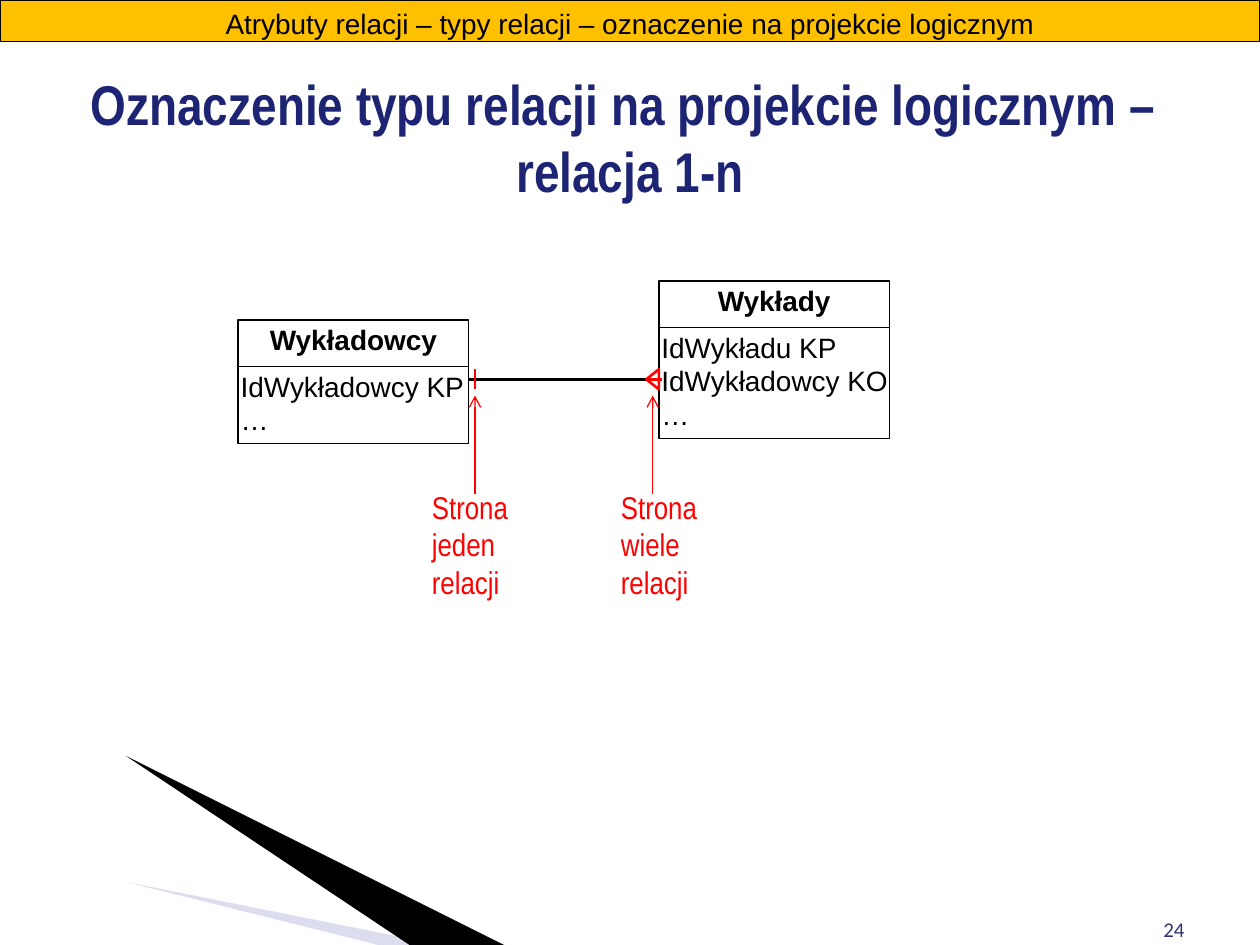
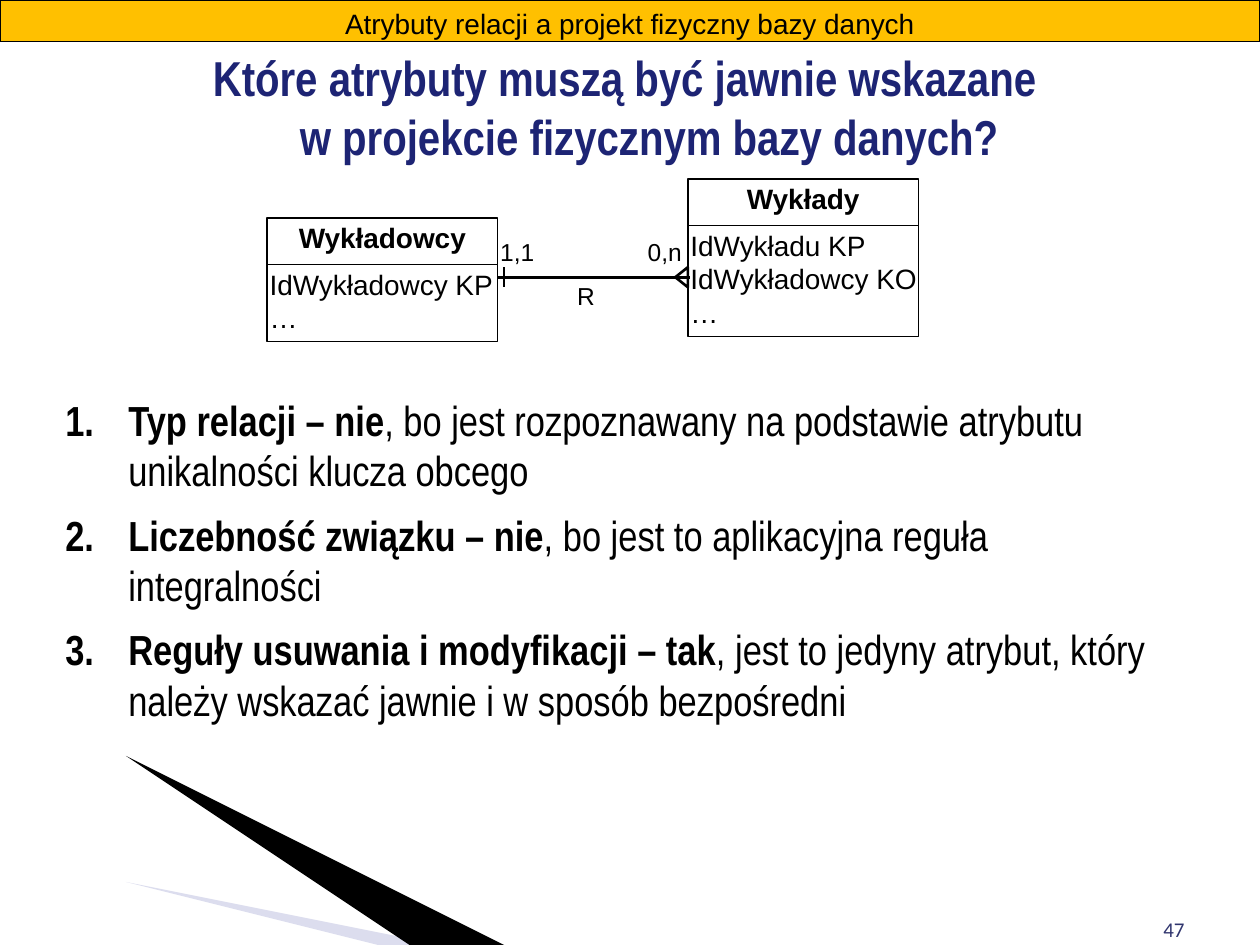
from dataclasses import dataclass

from lxml import etree
from pptx import Presentation
from pptx.dml.color import RGBColor
from pptx.enum import shapes, text
from pptx.oxml import ns
from pptx.util import Inches, Pt

BLACK = RGBColor(0, 0, 0)
WHITE = RGBColor(255, 255, 255)
RED = RGBColor(255, 0, 0)
NAVY = RGBColor(0x1D, 0x24, 0x74)
AMBER = RGBColor(0xFF, 0xC0, 0x00)
LAVENDER = RGBColor(0xA8, 0xAB, 0xD5)
PAGE_BLUE = RGBColor(0x30, 0x35, 0x6E)

ENTITY_WIDTH, HEADER_HEIGHT = 1.83, 0.37
LEFT, CENTER, RIGHT = text.PP_ALIGN.LEFT, text.PP_ALIGN.CENTER, text.PP_ALIGN.RIGHT


@dataclass(frozen=True)
class Style:
    size: float
    font: str = "Arial"
    color: RGBColor = BLACK
    bold: bool = False
    align: text.PP_ALIGN = LEFT


@dataclass(frozen=True)
class Box:
    left: float
    top: float
    width: float
    height: float

    def lengths(self) -> list:
        return [Inches(v) for v in (self.left, self.top, self.width, self.height)]


@dataclass(frozen=True)
class Entity:
    name: str
    attributes: tuple
    left: float
    top: float
    body_height: float


@dataclass(frozen=True)
class Caption:
    words: str
    box: Box


ATTRIBUTE = Style(16)
ENTITY_NAME = Style(16, bold=True, align=CENTER)
BAND = Style(16, align=CENTER)
PAGE_NUMBER = Style(12, "Calibri", PAGE_BLUE, align=RIGHT)
SIDE_LABEL = Style(18, "Arial Narrow", RED)
CARDINALITY = Style(14)
ANSWER = Style(24, "Arial Narrow")

# Positions inside the diagram, measured from its top left corner
ENTITIES = (
    Entity("Wykłady", ("IdWykładu KP", "IdWykładowcy KO", "…"), 3.34, 0, 0.88),
    Entity("Wykładowcy", ("IdWykładowcy KP", "…"), 0, 0.31, 0.61),
)
RELATION_Y, ONE_SIDE_X, MANY_SIDE_X = 0.78, 1.88, 3.24


def format_run(run, style: Style) -> None:
    run.font.size = Pt(style.size)
    run.font.name = style.font
    run.font.bold = style.bold
    run.font.color.rgb = style.color


def write(shape, words: str, style: Style, insets=(0.1, 0.05, 0.1, 0.05),
          anchor=text.MSO_ANCHOR.TOP):
    frame = shape.text_frame
    frame.word_wrap = True
    frame.vertical_anchor = anchor
    (frame.margin_left, frame.margin_top,
     frame.margin_right, frame.margin_bottom) = map(Inches, insets)
    frame.text = words
    for paragraph in frame.paragraphs:
        paragraph.alignment = style.align
        for run in paragraph.runs:
            format_run(run, style)
    return frame


def add_text(slide, box: Box, words: str, style: Style, **options):
    return write(slide.shapes.add_textbox(*box.lengths()), words, style, **options)


def add_rectangle(slide, box: Box, fill: RGBColor):
    rectangle = slide.shapes.add_shape(shapes.MSO_SHAPE.RECTANGLE, *box.lengths())
    rectangle.shadow.inherit = False
    rectangle.fill.solid()
    rectangle.fill.fore_color.rgb = fill
    rectangle.line.color.rgb = BLACK
    rectangle.line.width = Pt(0.75)
    return rectangle


def add_line(slide, start: tuple, end: tuple, color: RGBColor,
             width: float = 1.5, arrow: bool = False) -> None:
    line = slide.shapes.add_connector(
        shapes.MSO_CONNECTOR.STRAIGHT, *(Inches(v) for v in start + end))
    line.line.color.rgb = color
    line.line.width = Pt(width)
    if arrow:
        etree.SubElement(line.line._get_or_add_ln(), ns.qn("a:tailEnd"), type="arrow")
    etree.SubElement(line._element.spPr, ns.qn("a:effectLst"))


def set_indent(paragraph, inches: float):
    """Give a paragraph a hanging indent and return its properties."""
    properties = paragraph._p.get_or_add_pPr()
    properties.set("marL", str(Inches(inches)))
    properties.set("indent", str(-Inches(inches)))
    return properties


def add_wedge(slide, points: list, color: RGBColor):
    builder = slide.shapes.build_freeform(*points[0], scale=Inches(1))
    builder.add_line_segments(points[1:], close=True)
    wedge = builder.convert_to_shape()
    wedge.shadow.inherit = False
    wedge.fill.solid()
    wedge.fill.fore_color.rgb = color
    wedge.line.fill.background()
    return wedge


def add_base(prs, band: str, page: str):
    """Start a slide with the corner wedges, page number and topic band."""
    slide = prs.slides.add_slide(prs.slide_layouts[6])
    pale = add_wedge(slide, [(0.55, 6.51), (5.9, 7.5), (4.53, 7.5)], LAVENDER)
    color = pale._element.spPr.find(".//" + ns.qn("a:srgbClr"))
    etree.SubElement(color, ns.qn("a:alpha"), val="40000")
    add_wedge(slide, [(0.54, 6.5), (4.51, 7.5), (3.67, 7.5)], BLACK)
    add_text(slide, Box(7.17, 7, 2.33, 0.52), page, PAGE_NUMBER,
             anchor=text.MSO_ANCHOR.BOTTOM)
    write(add_rectangle(slide, Box(0, 0, 10, 0.33), AMBER), band, BAND)
    return slide


def add_title(slide, box: Box, words: str, size: float):
    style = Style(size, "Arial Narrow", NAVY, True, CENTER)
    return add_text(slide, box, words, style, insets=(0.05,) * 4)


def add_entity(slide, entity: Entity, x: float, y: float) -> None:
    left, top = x + entity.left, y + entity.top
    header = Box(left, top, ENTITY_WIDTH, HEADER_HEIGHT)
    body = Box(left, top + HEADER_HEIGHT, ENTITY_WIDTH, entity.body_height)
    write(add_rectangle(slide, header, WHITE), entity.name, ENTITY_NAME,
          insets=(0.1, 0.02, 0.1, 0.02))
    write(add_rectangle(slide, body, WHITE), "\n".join(entity.attributes), ATTRIBUTE,
          insets=(0.02, 0.02, 0, 0.02))


def add_relation_diagram(slide, x: float, y: float, marker: RGBColor) -> None:
    """Draw both entities and the 1-n relation with its end markers."""
    for entity in ENTITIES:
        add_entity(slide, entity, x, y)
    relation_y = y + RELATION_Y
    add_line(slide, (x + ENTITY_WIDTH, relation_y), (x + 3.34, relation_y), BLACK)
    one_x, many_x = x + ONE_SIDE_X, x + MANY_SIDE_X
    add_line(slide, (one_x, relation_y - 0.08), (one_x, relation_y + 0.08), marker)
    add_line(slide, (many_x, relation_y), (many_x + 0.12, relation_y), marker)
    crow_foot = slide.shapes.add_shape(
        shapes.MSO_SHAPE.ISOSCELES_TRIANGLE,
        *Box(many_x - 0.03, relation_y - 0.05, 0.16, 0.1).lengths())
    crow_foot.rotation = 270
    crow_foot.shadow.inherit = False
    crow_foot.fill.background()
    crow_foot.line.color.rgb = marker
    crow_foot.line.width = Pt(1.5)


def build_logical_design(prs) -> None:
    slide = add_base(
        prs, "Atrybuty relacji – typy relacji – oznaczenie na projekcie logicznym", "24")
    add_title(slide, Box(0, 0.5, 10, 1.16),
              "Oznaczenie typu relacji na projekcie logicznym – \vrelacja 1-n", 32)
    add_relation_diagram(slide, 1.89, 2.23, RED)
    # Names of the two sides, each with an arrow to its marker
    sides = (
        (3.77, Caption("Strona \vjeden relacji", Box(3.33, 3.82, 1, 1.01))),
        (5.18, Caption("Strona \vwiele relacji", Box(4.83, 3.82, 1, 1.01))),
    )
    for arrow_x, side in sides:
        add_line(slide, (arrow_x, 3.92), (arrow_x, 3.14), RED, 0.75, arrow=True)
        add_text(slide, side.box, side.words, SIDE_LABEL)


def build_physical_design(prs) -> None:
    slide = add_base(prs, "Atrybuty relacji a projekt fizyczny bazy danych", "47")
    title = add_title(
        slide, Box(0, 0.33, 10, 1.04),
        "Które atrybuty muszą być jawnie wskazane \vw projekcie fizycznym bazy danych?", 28)
    set_indent(title.paragraphs[0], 0.3)
    add_relation_diagram(slide, 2.12, 1.42, BLACK)
    # Cardinalities and relation name
    for caption in (Caption("0,n", Box(5.14, 1.88, 0.42, 0.32)),
                    Caption("1,1", Box(3.97, 1.88, 0.42, 0.21)),
                    Caption("R", Box(4.58, 2.23, 0.4, 0.31))):
        add_text(slide, caption.box, caption.words, CARDINALITY, insets=(0,) * 4)
    # Numbered answers: bold verdict, then the reason
    answers = (
        ("Typ relacji – nie",
         ", bo jest rozpoznawany na podstawie atrybutu unikalności klucza obcego"),
        ("Liczebność związku – nie", ", bo jest to aplikacyjna reguła integralności"),
        ("Reguły usuwania i modyfikacji – tak",
         ", jest to jedyny atrybut, który należy wskazać jawnie i w sposób bezpośredni"),
    )
    verdicts = "\n".join(verdict for verdict, _ in answers)
    frame = add_text(slide, Box(0.42, 3.08, 8.9, 2.75), verdicts, ANSWER)
    for index, (paragraph, (_, reason)) in enumerate(zip(frame.paragraphs, answers)):
        if index:
            paragraph.space_before = Pt(8)
        etree.SubElement(set_indent(paragraph, 0.5), ns.qn("a:buAutoNum"),
                         type="arabicPeriod")
        paragraph.runs[0].font.bold = True
        reason_run = paragraph.add_run()
        reason_run.text = reason
        format_run(reason_run, ANSWER)


def main() -> None:
    prs = Presentation()
    prs.slide_width, prs.slide_height = Inches(10), Inches(7.5)
    build_logical_design(prs)
    build_physical_design(prs)
    prs.save("out.pptx")


if __name__ == "__main__":
    main()
